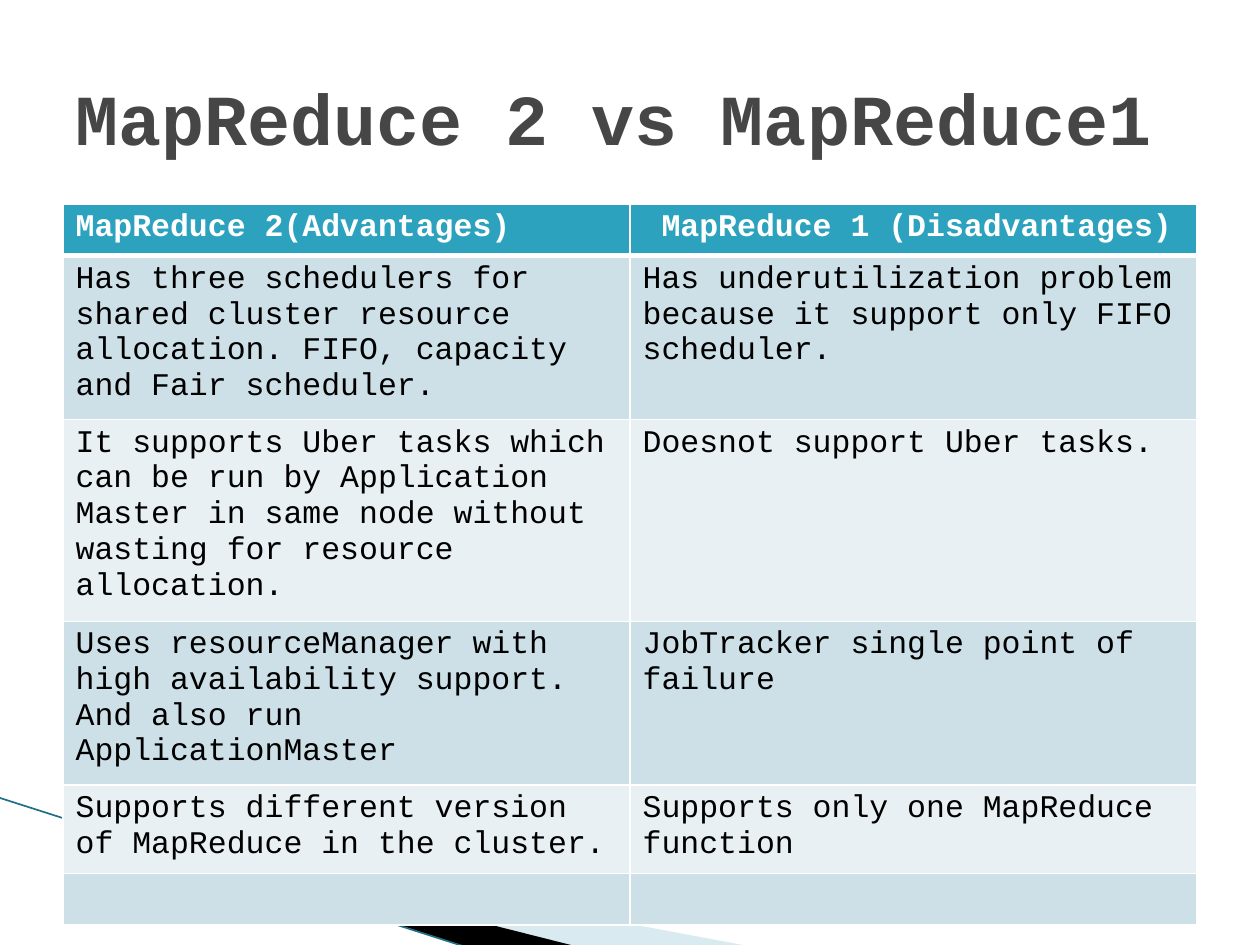
import pptx
import pptx.dml.color
import pptx.enum.shapes
import pptx.enum.text
import pptx.oxml
import pptx.oxml.ns
import pptx.util
from pptx.util import Inches

# Each row: number of text lines it holds, then its two cells.
COMPARISON = [
    (1, "MapReduce 2(Advantages)", " MapReduce 1 (Disadvantages)"),
    (4, "Has three schedulers for shared cluster resource allocation. "
        "FIFO, capacity and Fair scheduler.",
     "Has underutilization problem because it support only FIFO scheduler."),
    (5, "It supports Uber tasks which can be run by Application Master in same "
        "node without wasting for resource allocation.",
     "Doesnot support Uber tasks."),
    (4, "Uses resourceManager with high availability support. "
        "And also run ApplicationMaster",
     "JobTracker single point of failure"),
    (2, "Supports different version of MapReduce in the cluster.",
     "Supports only one MapReduce function"),
    (1, "", ""),
]


def rgb(hex_code):
    """Return the colour for a hex string."""
    return pptx.dml.color.RGBColor.from_string(hex_code)


def add_xml(parent, tag, **attributes):
    """Append a DrawingML element and return it."""
    child = pptx.oxml.parse_xml(f"<a:{tag} {pptx.oxml.ns.nsdecls('a')}/>")
    for name, value in attributes.items():
        child.set(name, str(value))
    parent.append(child)
    return child


class SlideBuilder:
    """Holds the style and the current slide."""

    font = "Courier New"
    header_fill = "2DA2BF"
    band_fills = ("E8F0F4", "CDE0E8")
    border = "FFFFFF"
    line_height = 0.28
    least_row = 0.41

    def __init__(self, slide):
        """Keep the slide to draw on."""
        self.slide = slide

    def format_text(self, frame, size, color, bold=False):
        """Style every run of a text frame."""
        for paragraph in frame.paragraphs:
            for run in paragraph.runs:
                run.font.name = self.font
                run.font.size = pptx.util.Pt(size)
                run.font.bold = bold
                run.font.color.rgb = rgb(color)
            mark = add_xml(paragraph._p, "endParaRPr", sz=size * 100)
            add_xml(mark, "latin", typeface=self.font)

    def title(self, text, left, top, width, height):
        """Add the slide heading."""
        heading = self.slide.shapes.add_textbox(
            Inches(left), Inches(top), Inches(width), Inches(height))
        frame = heading.text_frame
        frame.word_wrap = True
        frame.vertical_anchor = pptx.enum.text.MSO_ANCHOR.MIDDLE
        frame.text = text
        self.format_text(frame, 41, "464646", bold=True)

    def wedge(self, points, color, opacity=100):
        """Add a filled outline without a line."""
        corners = [(Inches(x), Inches(y)) for x, y in points]
        builder = self.slide.shapes.build_freeform(*corners[0])
        builder.add_line_segments(corners[1:], close=True)
        wedge = builder.convert_to_shape()
        wedge.shadow.inherit = False
        wedge.fill.solid()
        wedge.fill.fore_color.rgb = rgb(color)
        wedge.line.fill.background()
        if opacity < 100:
            fill_color = wedge.fill._xPr.solidFill[0]
            add_xml(fill_color, "alpha", val=opacity * 1000)

    def line(self, start, end, color, width):
        """Add a straight line."""
        edge = self.slide.shapes.add_connector(
            pptx.enum.shapes.MSO_CONNECTOR.STRAIGHT,
            *map(Inches, start + end))
        edge.line.color.rgb = rgb(color)
        edge.line.width = pptx.util.Pt(width)
        add_xml(edge._element.spPr, "effectLst")

    def cell_borders(self, cell, top, bottom):
        """Draw the four cell borders ahead of the cell fill."""
        properties = cell._tc.get_or_add_tcPr()
        for side, width in (("L", 1), ("R", 1), ("T", top), ("B", bottom)):
            edge = add_xml(properties, "ln" + side, w=pptx.util.Pt(width))
            add_xml(add_xml(edge, "solidFill"), "srgbClr", val=self.border)

    def table(self, rows, left, top, width):
        """Add a banded table whose rows fit their lines of text."""
        heights = [max(self.least_row, 0.1 + self.line_height * lines)
                   for lines, *_ in rows]
        table = self.slide.shapes.add_table(
            len(rows), len(rows[0]) - 1, Inches(left), Inches(top),
            Inches(width), Inches(sum(heights))).table
        for r, (_, *texts) in enumerate(rows):
            header = r == 0
            table.rows[r].height = Inches(heights[r])
            for c, text in enumerate(texts):
                cell = table.cell(r, c)
                self.cell_borders(cell, 3 if r == 1 else 1, 3 if header else 1)
                cell.fill.solid()
                cell.fill.fore_color.rgb = rgb(
                    self.header_fill if header else self.band_fills[r % 2])
                cell.text_frame.text = text
                self.format_text(cell.text_frame, 18,
                                 "FFFFFF" if header else "000000", header)


def main():
    """Build and save the comparison slide."""
    deck = pptx.Presentation()
    deck.slide_width, deck.slide_height = Inches(10), Inches(7.5)
    page = SlideBuilder(deck.slides.add_slide(deck.slide_layouts[6]))
    page.wedge([(0.55, 6.5), (5.95, 7.51), (4.56, 7.51)], "A0CBDC", 40)
    page.wedge([(0.53, 6.49), (4.57, 7.51), (3.72, 7.52)], "000000")
    page.line((-0.01, 6.33), (3.71, 7.52), "1F7086", 0.95)
    page.title("MapReduce 2 vs MapReduce1", 0.5, 0.3, 9, 1.25)
    page.table(COMPARISON, 0.5, 1.62, 9)
    deck.save("out.pptx")


main()
